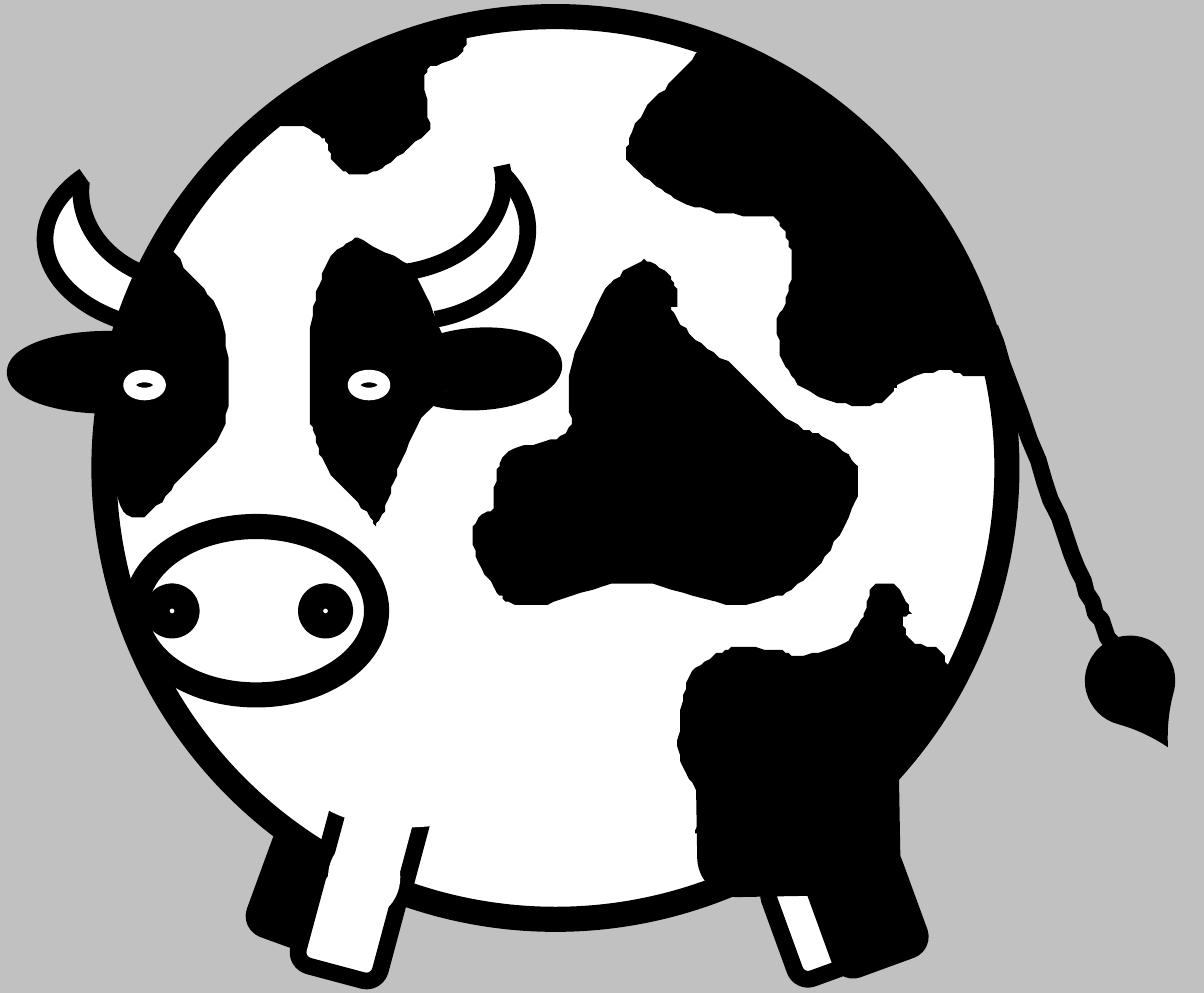
from dataclasses import dataclass
from typing import NamedTuple, Optional

from pptx import Presentation
from pptx.dml.color import RGBColor
from pptx.enum.shapes import MSO_SHAPE
from pptx.util import Pt

BLACK = RGBColor(0x00, 0x00, 0x00)
WHITE = RGBColor(0xFF, 0xFF, 0xFF)
GRAY = RGBColor(0xC1, 0xC1, 0xC1)

GRID = Pt(0.72)  # one step of the outline coordinates
STEPS = 6        # straight pieces between two knots of a smooth edge
THIN, MEDIUM, THICK = 3, 4, 6  # line widths

Knot = tuple[float, float]


class Paint(NamedTuple):
    fill: Optional[RGBColor] = None
    line: Optional[RGBColor] = None
    width: float = MEDIUM


SOLID = Paint(BLACK)
COVER = Paint(WHITE)
STROKE = Paint(None, BLACK)
BLACK_LIMB = Paint(BLACK, BLACK)
WHITE_LIMB = Paint(WHITE, BLACK)
WHITE_BODY = Paint(WHITE, BLACK, THICK)
EYE = Paint(BLACK, WHITE, THIN)


@dataclass
class Part:
    """A preset shape, placed in points."""
    kind: MSO_SHAPE
    left: float
    top: float
    width: float
    height: float
    paint: Paint
    rotation: float = 0
    flip: str = ""
    adjustments: tuple[float, ...] = ()


@dataclass
class Outline:
    """Smooth edges that meet in corners; each starts where the last one ends."""
    start: Knot
    edges: dict[str, list[Knot]]
    paint: Paint = SOLID
    closed: bool = True


# Repeated parts
def oval(left: float, top: float, width: float, height: float, paint: Paint) -> Part:
    return Part(MSO_SHAPE.OVAL, left, top, width, height, paint)


def leg(left: float, top: float, paint: Paint, rotation: float, width: float = 20.2,
        height: float = 24.5) -> Part:
    return Part(MSO_SHAPE.ROUNDED_RECTANGLE, left, top, width, height, paint, rotation)


def horn_line(left: float, top: float, width: float, flip: str, start: float,
              end: float) -> Part:
    return Part(MSO_SHAPE.ARC, left, top, width, 43.9, STROKE, 0, flip, (start, end))


def ear(left: float, top: float, width: float, rotation: float, flip: str,
        start: float, end: float) -> Part:
    return Part(MSO_SHAPE.ARC, left, top, width, 15.8, BLACK_LIMB, rotation, flip,
                (start, end))


def eye(left: float) -> Part:
    return oval(left, 90, 7.2, 4.3, EYE)


def nostril(left: float) -> Part:
    return oval(left, 142.6, 7.2, 7.2, WHITE_BODY)


# Drawing
def smooth(knots: list[Knot]) -> list[Knot]:
    """Points of a Catmull-Rom curve through the knots, without the first knot."""
    padded = [knots[0], *knots, knots[-1]]
    points = []
    for before, start, end, after in zip(padded, padded[1:], padded[2:], padded[3:]):
        for step in range(1, STEPS + 1):
            t = step / STEPS
            points.append(tuple(
                b + (c - a) * t / 2 + (2 * a - 5 * b + 4 * c - d) * t ** 2 / 2
                + (3 * b - a - 3 * c + d) * t ** 3 / 2
                for a, b, c, d in zip(before, start, end, after)))
    return points


def apply_paint(shape, paint: Paint) -> None:
    shape.shadow.inherit = False
    for color, format_fill in ((paint.fill, shape.fill), (paint.line, shape.line.fill)):
        if color is None:
            format_fill.background()
        else:
            format_fill.solid()
            format_fill.fore_color.rgb = color
    if paint.line is not None:
        shape.line.width = Pt(paint.width)


def draw_part(slide, part: Part) -> None:
    box = (part.left, part.top, part.width, part.height)
    shape = slide.shapes.add_shape(part.kind, *map(Pt, box))
    shape.rotation = part.rotation
    for index, value in enumerate(part.adjustments):
        shape.adjustments[index] = value
    for axis in part.flip:
        shape._element.spPr.get_or_add_xfrm().set("flip" + axis, "1")
    apply_paint(shape, part.paint)


def draw_outline(slide, outline: Outline) -> None:
    points = [outline.start]
    for knots in outline.edges.values():
        points += smooth([points[-1], *knots])
    builder = slide.shapes.build_freeform(*points[0], scale=GRID)
    builder.add_line_segments(points[1:], close=outline.closed)
    apply_paint(builder.convert_to_shape(), outline.paint)


# Outlines, in grid steps
left_horn = Outline((27, 60), {
    "outer": [(18, 70), (16, 77), (18, 88), (25, 97), (34, 103), (47, 108)],
    "base": [(47, 94)],
    "inner": [(39, 87), (32, 79), (29, 68), (27, 60)]}, COVER)
right_eye_patch = Outline((125, 175), {
    "muzzle": [(119, 167), (109, 156), (105, 146), (103, 139)],
    "nose": [(103, 112), (106, 95), (111, 84), (119, 79)],
    "brow": [(136, 88)],
    "horn": [(142, 99), (148, 112)],
    "ear top": [(170, 123)],
    "ear bottom": [(148, 130)],
    "cheek": [(139, 141), (133, 154), (129, 166), (125, 175)]})
left_eye_patch = Outline((55, 81), {
    "nose": [(65, 93), (73, 104), (76.5, 126), (74, 143), (66, 153), (55, 165), (48, 172)],
    "chin": [(41, 170), (35, 154), (33, 146)],
    "cheek": [(39, 113)],
    "temple": [(55, 81)]})
rump_patch = Outline((234, 15), {
    "neck": [(224, 26), (214, 37), (208, 49)],
    "shoulder": [(209, 54), (217, 61), (226, 67), (241, 71), (257, 72)],
    "flank": [(260, 76), (263, 85), (262, 97), (258, 107)],
    "thigh": [(260, 120), (267, 129), (283, 135), (294, 133), (298, 128)],
    "hip": [(312, 123), (320, 124.6), (330, 125)],
    "back": [(316, 84), (288, 46), (242, 15)]})
side_patch = Outline((214, 86), {
    "peak": [(222, 91), (225, 97), (225, 102)],
    "slope": [(223, 103), (231, 113), (244, 122), (258, 136)],
    "rear": [(266, 142), (275, 146), (284, 154), (285, 163), (280, 176), (271, 189),
             (260, 198)],
    "belly": [(241, 201), (220, 195), (203, 194), (184, 200), (172, 201), (166, 198)],
    "front": [(159, 187), (157, 175), (164, 169)],
    "elbow": [(165, 158), (169, 150), (185, 146)],
    "notch": [(190, 141)],
    "shoulder": [(189, 125), (198, 102), (204, 93), (214, 86)]})
top_patch = Outline((93, 42), {
    "front": [(100, 42), (108, 46)],
    "drop": [(111, 54), (117, 58), (127, 56), (135, 50), (143, 43)],
    "rear": [(141, 28), (142, 23)],
    "step": [(153, 18), (155, 12)],
    "spine": [(138, 12), (113, 26), (93, 42)]})
hind_patch = Outline((231, 277), {
    "front": [(232, 264), (226, 253), (226, 238), (229, 225), (237, 218), (244, 215)],
    "top": [(259, 216), (265, 218), (280, 214), (287, 205)],
    "bump": [(290, 195), (298, 195), (303, 204)],
    "notch": [(300, 206), (303, 213), (312, 216), (315, 222)],
    "rear": [(313, 228)],
    "leg": [(282, 278)]})
tail = Outline((329, 109), {
    "line": [(344.6, 153), (358, 189), (367, 209), (375, 221)]}, STROKE, closed=False)

# The cow, from back to front
cow: dict[str, list[Part | Outline]] = {
    "far legs": [leg(186.5, 208.1, WHITE_LIMB, 340), leg(63.4, 200.9, BLACK_LIMB, 20)],
    "left horn": [left_horn, horn_line(10.8, 35.3, 67.7, "HV", 183.59, 19.08),
                  horn_line(19.4, 23.8, 53.3, "HV", 172.99, 2.91)],
    "body": [oval(24.9, 4, 216, 216, WHITE_BODY)],
    "muzzle": [oval(32.5, 126, 57.6, 40.3, WHITE_BODY), *map(nostril, (37.6, 74.3))],
    "right eye": [right_eye_patch, eye(84.7)],
    "right horn": [horn_line(68.7, 33.1, 57.6, "V", 172.42, 19.08),
                   horn_line(62.9, 21.6, 57.6, "V", 167.25, 4.77)],
    "right ear": [ear(96.5, 80.4, 36, 356.8, "H", 18.4, 197.6)],
    "coat": [rump_patch, side_patch, top_patch],
    "tail": [tail, Part(MSO_SHAPE.TEAR, 259.5, 152.1, 21.6, 21.6, SOLID, 105.3, "", (1.2,))],
    "hind leg": [leg(168.5, 163.4, BLACK_LIMB, 359, 44.6, 49),
                 leg(197.3, 205.9, BLACK_LIMB, 340)],
    "front leg": [leg(79.2, 187.2, WHITE_LIMB, 15, height=28.1),
                  leg(73.4, 208.8, WHITE_LIMB, 15),
                  oval(73.4, 176.4, 48.2, 21.6, COVER), oval(78.5, 200.2, 17.3, 19.4, COVER)],
    "hind coat": [hind_patch],
    "left ear": [ear(3.6, 81.2, 43.9, 0, "", 28.85, 200.68)],
    "left eye": [left_eye_patch, eye(31)],
}

presentation = Presentation()
presentation.slide_width, presentation.slide_height = Pt(288), Pt(237.6)
slide = presentation.slides.add_slide(presentation.slide_layouts[6])
slide.background.fill.solid()
slide.background.fill.fore_color.rgb = GRAY

for pieces in cow.values():
    for piece in pieces:
        draw = draw_part if isinstance(piece, Part) else draw_outline
        draw(slide, piece)

presentation.save("out.pptx")
